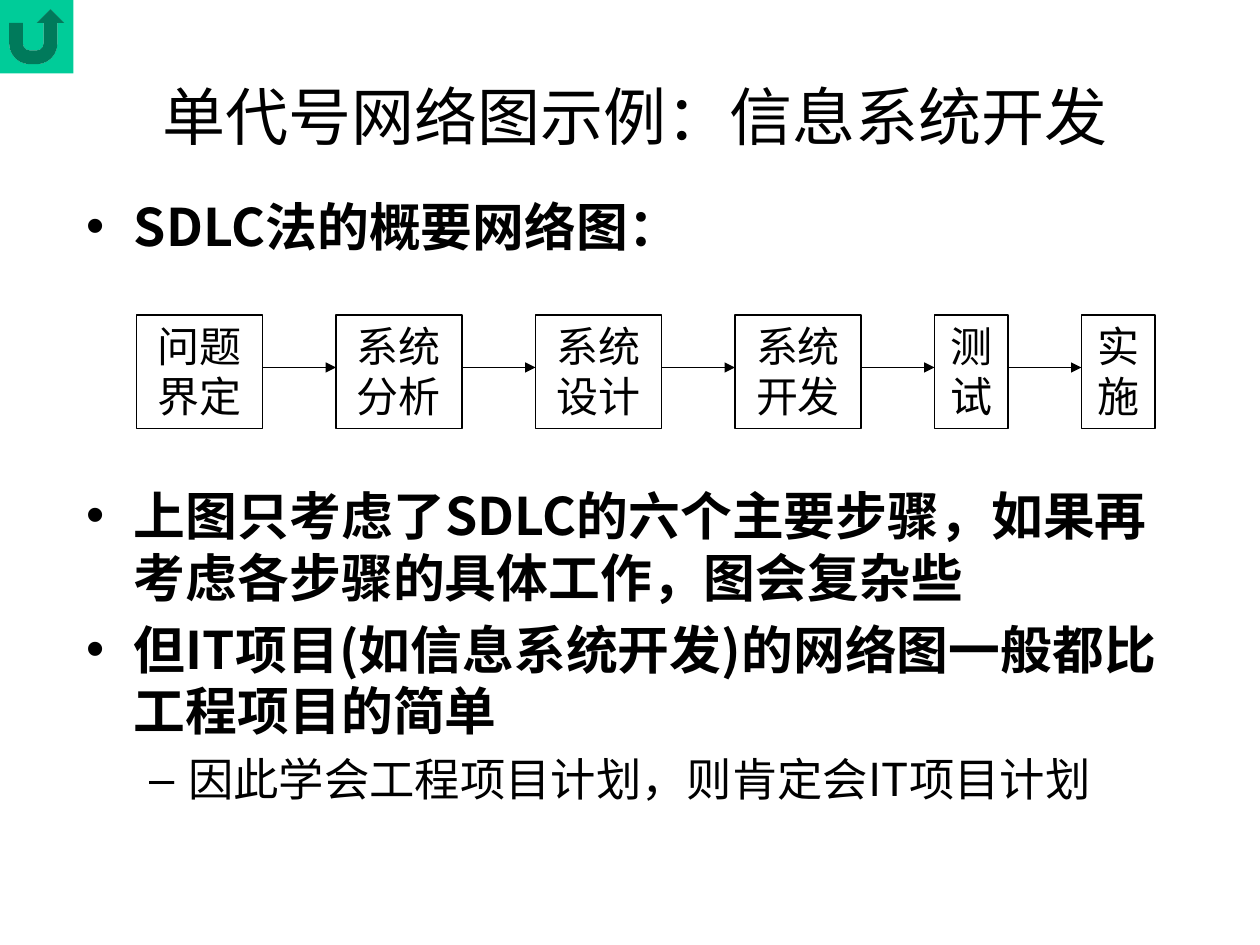
from dataclasses import dataclass

import pptx
import pptx.dml.color
import pptx.enum.shapes
import pptx.enum.text
import pptx.oxml
import pptx.oxml.ns
import pptx.util


@dataclass(frozen=True)
class Theme:
    ink: pptx.dml.color.RGBColor = pptx.dml.color.RGBColor(0, 0, 0)
    button: pptx.dml.color.RGBColor = pptx.dml.color.RGBColor(0x00, 0xCC, 0x99)
    font: str = "Noto Sans CJK SC"
    step_font: str = "Times New Roman"
    title_size: float = 36
    bullet_size: float = 29.6
    sub_bullet_size: float = 25.9
    step_size: float = 24
    leading: float = 1.19  # line pitch as a multiple of the type size
    line_width: float = 0.75


@dataclass(frozen=True)
class Step:
    label: str
    columns: int


@dataclass(frozen=True)
class Bullet:
    text: str
    level: int = 0
    space_before: float = 3


THEME = Theme()

# The grid has 120 columns and 90 rows on a 10 by 7.5 inch slide
UNIT = pptx.util.Inches(10) // 120
STEP_LEFT, STEP_TOP, STEP_GAP = 13, 30, 7
STEP_ROWS, ARROW_ROW = 10.8, 35

TITLE = "单代号网络图示例：信息系统开发"
BULLETS = [
    Bullet("SDLC法的概要网络图："),
    # Leaves room for the network diagram
    Bullet("上图只考虑了SDLC的六个主要步骤，如果再考虑各步骤的具体工作，图会复杂些",
           space_before=127),
    Bullet("但IT项目(如信息系统开发)的网络图一般都比工程项目的简单"),
    Bullet("因此学会工程项目计划，则肯定会IT项目计划", level=1),
]
STEPS = [
    Step("问题界定", 12),
    Step("系统分析", 12),
    Step("系统设计", 12),
    Step("系统开发", 12),
    Step("测试", 7),
    Step("实施", 7),
]


def grid(count: float) -> int:
    return round(count * UNIT)


def place(shape, left: float, top: float, width: float, height: float) -> None:
    shape.left, shape.top = grid(left), grid(top)
    shape.width, shape.height = grid(width), grid(height)


def format_paragraph(paragraph, size: float, font: str = THEME.font,
                     bold: bool = False) -> None:
    paragraph.line_spacing = pptx.util.Pt(round(size * THEME.leading, 1))
    for run in paragraph.runs:
        run.font.size = pptx.util.Pt(size)
        run.font.name = font
        run.font.bold = bold
        run.font.color.rgb = THEME.ink
        east_asian = pptx.oxml.parse_xml(
            f'<a:ea {pptx.oxml.ns.nsdecls("a")} typeface="{THEME.font}"/>')
        run.font._element.find(pptx.oxml.ns.qn("a:latin")).addnext(east_asian)


def fill_title(title) -> None:
    place(title, 7, 6, 107, 10)
    title.text_frame.text = TITLE
    title.text_frame.auto_size = pptx.enum.text.MSO_AUTO_SIZE.NONE
    format_paragraph(title.text_frame.paragraphs[0], THEME.title_size)


def fill_body(body) -> None:
    place(body, 7, 18, 107, 65)
    frame = body.text_frame
    frame.text = "\n".join(bullet.text for bullet in BULLETS)
    frame.auto_size = pptx.enum.text.MSO_AUTO_SIZE.NONE
    for paragraph, bullet in zip(frame.paragraphs, BULLETS):
        is_main = bullet.level == 0
        paragraph.level = bullet.level
        paragraph.space_before = pptx.util.Pt(bullet.space_before)
        paragraph.space_after = pptx.util.Pt(3)
        size = THEME.bullet_size if is_main else THEME.sub_bullet_size
        format_paragraph(paragraph, size, bold=is_main)
        margin, hanging = (0.38, 0.38) if is_main else (0.81, 0.31)
        properties = paragraph._p.get_or_add_pPr()
        properties.set("marL", str(pptx.util.Inches(margin)))
        properties.set("indent", str(-pptx.util.Inches(hanging)))


def add_return_button(slide) -> None:
    button = slide.shapes.add_shape(
        pptx.enum.shapes.MSO_SHAPE.ACTION_BUTTON_RETURN, 0, 0, grid(7), grid(7))
    button.shadow.inherit = False
    button.fill.solid()
    button.fill.fore_color.rgb = THEME.button
    button.line.fill.background()


def add_step(slide, step: Step, left: float) -> None:
    box = slide.shapes.add_shape(
        pptx.enum.shapes.MSO_SHAPE.RECTANGLE,
        grid(left), grid(STEP_TOP), grid(step.columns), grid(STEP_ROWS))
    box.shadow.inherit = False
    box.fill.background()
    box.line.color.rgb = THEME.ink
    box.line.width = pptx.util.Pt(THEME.line_width)
    box.text_frame.text = step.label
    box.text_frame.word_wrap = True
    box.text_frame.vertical_anchor = pptx.enum.text.MSO_ANCHOR.TOP
    paragraph = box.text_frame.paragraphs[0]
    paragraph.alignment = pptx.enum.text.PP_ALIGN.CENTER
    format_paragraph(paragraph, THEME.step_size, THEME.step_font)


def add_arrow(slide, start: float, end: float) -> None:
    arrow = slide.shapes.add_connector(
        pptx.enum.shapes.MSO_CONNECTOR.STRAIGHT,
        grid(start), grid(ARROW_ROW), grid(end), grid(ARROW_ROW))
    arrow.line.color.rgb = THEME.ink
    arrow.line.width = pptx.util.Pt(THEME.line_width)
    namespace = pptx.oxml.ns.nsdecls("a")
    arrow.line._get_or_add_ln().append(
        pptx.oxml.parse_xml(f'<a:tailEnd {namespace} type="triangle"/>'))
    arrow._element.spPr.append(pptx.oxml.parse_xml(f"<a:effectLst {namespace}/>"))


def add_network(slide) -> None:
    left = STEP_LEFT
    for index, step in enumerate(STEPS):
        if index:
            add_arrow(slide, left - STEP_GAP, left)
        add_step(slide, step, left)
        left += step.columns + STEP_GAP


def main() -> None:
    presentation = pptx.Presentation()
    presentation.slide_width = grid(120)
    presentation.slide_height = grid(90)
    slide = presentation.slides.add_slide(presentation.slide_layouts[1])

    # Title and list
    fill_title(slide.shapes.title)
    fill_body(slide.placeholders[1])

    # Navigation button and network diagram
    add_return_button(slide)
    add_network(slide)

    presentation.save("out.pptx")


if __name__ == "__main__":
    main()
